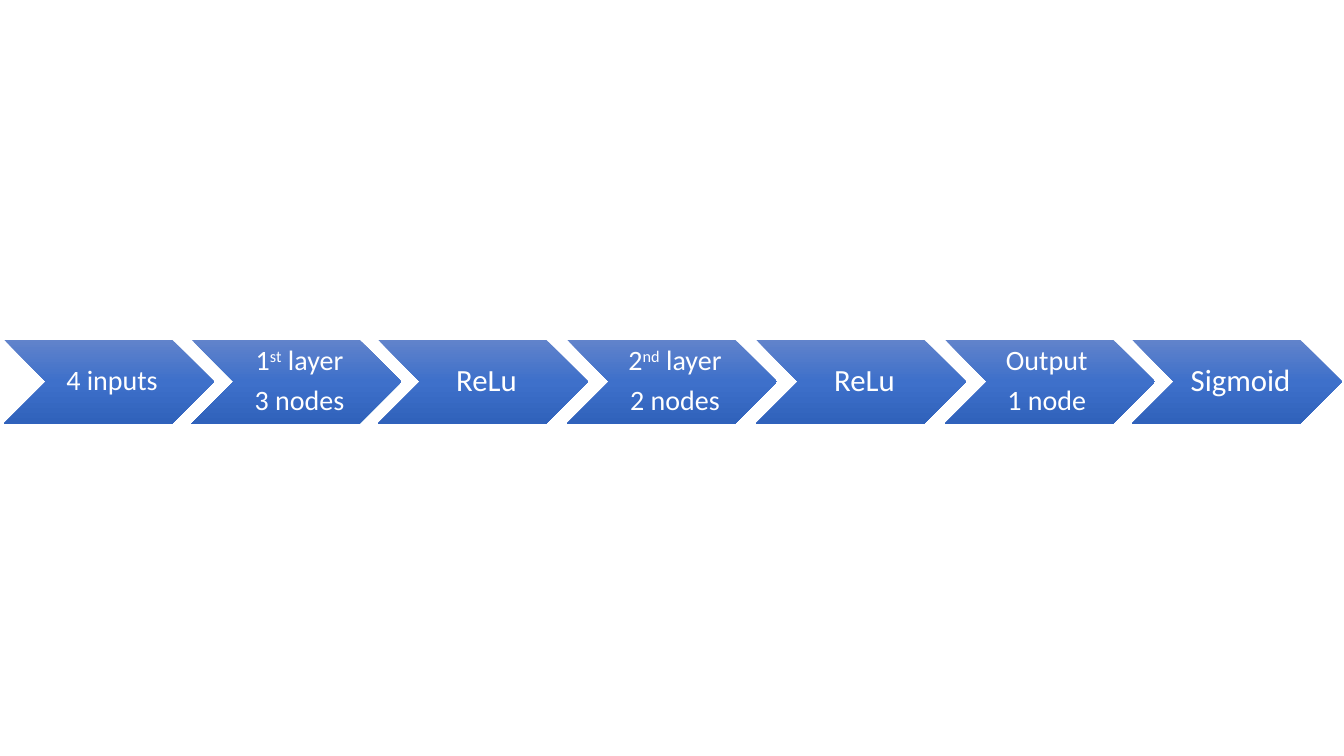
"""Draw a neural network's layers as a row of chevrons."""
import copy
from dataclasses import dataclass

import pptx
import pptx.dml.color
import pptx.enum.shapes
import pptx.enum.text
import pptx.shapes.shapetree
import pptx.text.text
import pptx.util

Pt = pptx.util.Pt
RGB = pptx.dml.color.RGBColor

COLORS = {"top": "6183CB", "middle": "3E70CA", "bottom": "3062BB", "text": "FFFFFF"}
GRADIENT = (("top", 0), ("middle", 0.5), ("bottom", 1))
FONT = "Calibri"
PITCH, TOP, WIDTH, HEIGHT = 135, 242.6, 150, 60


@dataclass(frozen=True)
class Line:
    """One line of a label, with an optional raised ordinal ending."""
    text: str
    ordinal: str = ""
    rest: str = ""
    right_margin: float = 0


@dataclass(frozen=True)
class Step:
    """One chevron: its lines, font size and shift from the even grid."""
    lines: tuple[Line, ...]
    size: float = 20
    shift: float = 0


STEPS = (
    Step((Line("4 inputs"),), shift=2.9),
    Step((Line("1", "st", " layer"), Line("3 nodes")), shift=1.8),
    Step((Line("ReLu"),), size=22),
    Step((Line("2", "nd", " layer"), Line("2 nodes")),),
    Step((Line("ReLu"),), size=22),
    Step((Line("Output", right_margin=9), Line("1 node"))),
    Step((Line("Sigmoid"),), size=22, shift=-1.4),
)


def fill_gradient(fill: pptx.dml.fill.FillFormat) -> None:
    """Give a fill the three-stop vertical gradient."""
    fill.gradient()
    fill.gradient_angle = 270
    first = fill.gradient_stops[0]._gs
    first.addnext(copy.deepcopy(first))
    for stop, (name, position) in zip(fill.gradient_stops, GRADIENT):
        stop.color.rgb = RGB.from_string(COLORS[name])
        stop.position = position


def write_line(p: pptx.text.text._Paragraph, line: Line, size: float) -> None:
    """Write and format one line of a label."""
    p.alignment = pptx.enum.text.PP_ALIGN.CENTER
    p.line_spacing = 0.9
    p.space_after = Pt(size * 0.35)
    p.font.name = FONT
    p.font.size = Pt(size)
    p.font.color.rgb = RGB.from_string(COLORS["text"])
    if line.right_margin:
        p._p.get_or_add_pPr().set("marR", str(Pt(line.right_margin)))
    for text in filter(None, (line.text, line.ordinal, line.rest)):
        r = p.add_run()
        r.text = text
        if text == line.ordinal:
            r._r.get_or_add_rPr().set("baseline", "30000")


def add_step(shapes: pptx.shapes.shapetree.GroupShapes, index: int, step: Step) -> None:
    """Add one labelled chevron at its place in the row."""
    sp = shapes.add_shape(
        pptx.enum.shapes.MSO_SHAPE.CHEVRON,
        Pt(index * PITCH + step.shift), Pt(TOP), Pt(WIDTH), Pt(HEIGHT),
    )
    sp.shadow.inherit = False
    sp.line.fill.background()
    fill_gradient(sp.fill)
    tf = sp.text_frame
    tf.word_wrap = True
    tf.vertical_anchor = pptx.enum.text.MSO_ANCHOR.MIDDLE
    tf.margin_left = Pt(step.size * 0.33)
    tf.margin_top = tf.margin_right = tf.margin_bottom = Pt(2.2)
    for number, line in enumerate(step.lines):
        p = tf.add_paragraph() if number else tf.paragraphs[0]
        write_line(p, line, step.size)


def main() -> None:
    """Build and save the presentation."""
    prs = pptx.Presentation()
    prs.slide_width, prs.slide_height = Pt(960), Pt(540)
    s = prs.slides.add_slide(prs.slide_layouts[6])
    row = s.shapes.add_group_shape()
    for index, step in enumerate(STEPS):
        add_step(row.shapes, index, step)
    prs.save("out.pptx")


if __name__ == "__main__":
    main()
